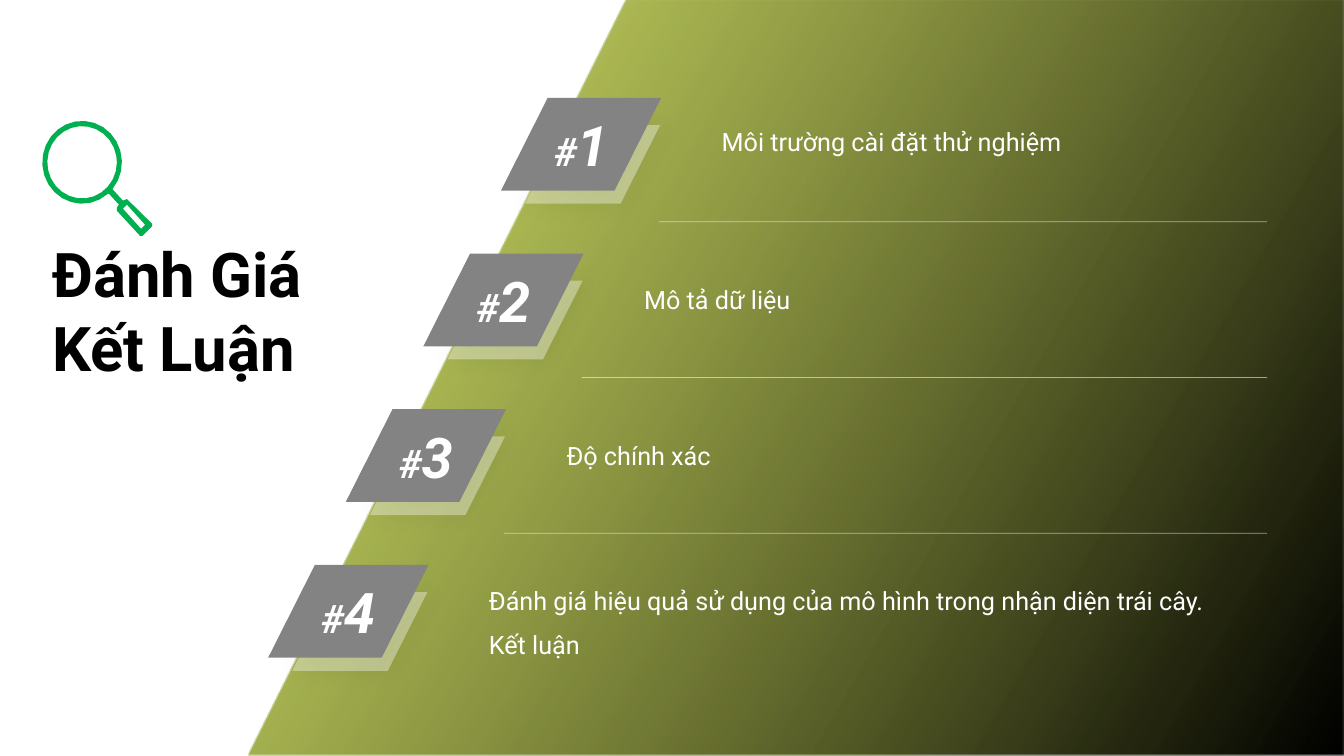
from collections import namedtuple
from math import cos, radians, sin

from lxml import etree
from pptx import Presentation
from pptx import util as u
from pptx.dml.color import RGBColor
from pptx.enum import shapes, text
from pptx.oxml.ns import qn

UNIT = u.Inches(0.1)
COLUMNS, ROWS = 133.33, 75
BLACK = RGBColor(0x00, 0x00, 0x00)
WHITE = RGBColor(0xFF, 0xFF, 0xFF)
OLIVE = RGBColor(0xA6, 0xB7, 0x27)
GRAY = RGBColor(0x83, 0x83, 0x83)
GREEN = RGBColor(0x00, 0xB0, 0x50)
FONT = "Roboto"
SLANT = 0.504

Box = namedtuple("Box", "left top width height")
Topic = namedtuple("Topic", "lines height nudge")

TITLE = "Đánh Giá\nKết Luận"
TOPICS = [
    Topic(["Môi trường cài đặt thử nghiệm"], 3, -0.3),
    Topic(["Mô tả dữ liệu"], 3, 0),
    Topic(["Độ chính xác"], 3, 0),
    Topic(["Đánh giá hiệu quả sử dụng của mô hình trong nhận diện trái cây.",
           "Kết luận"], 7.4, 1),
]


def grid(*lengths):
    """Turn grid units into slide lengths."""
    return [u.Emu(round(length * UNIT)) for length in lengths]


def apply(target, values):
    """Set each named format value on the target."""
    for name, value in values.items():
        setattr(target, name, value)


def set_alpha(color_parent, percent):
    """Make the solid colours below an element translucent."""
    for color in color_parent.iter(qn("a:srgbClr")):
        etree.SubElement(color, qn("a:alpha"), val=str(percent * 1000))


def style_span(span, size, color, **extra):
    """Format one run of text."""
    apply(span.font, {"name": FONT, "size": u.Pt(size), **extra})
    span.font.color.rgb = color


def add_text(page, box, margin=None):
    """Add a wrapping, vertically centred text box and return its frame."""
    frame = page.shapes.add_textbox(*grid(*box)).text_frame
    apply(frame, {"word_wrap": True, "vertical_anchor": text.MSO_ANCHOR.MIDDLE})
    if margin is not None:
        sides = ("left", "right", "top", "bottom")
        apply(frame, {f"margin_{side}": margin for side in sides})
    return frame


def add_outline(page, contours):
    """Add a borderless freeform made of closed contours in grid units."""
    first, *others = [[grid(*point) for point in contour] for contour in contours]
    builder = page.shapes.build_freeform(*first[0])
    builder.add_line_segments(first[1:])
    for contour in others:
        builder.move_to(*contour[0])
        builder.add_line_segments(contour[1:])
    shape = builder.convert_to_shape()
    shape.shadow.inherit = False
    shape.line.fill.background()
    return shape


def add_slant(page, box, color):
    """Add a borderless parallelogram."""
    shape = page.shapes.add_shape(shapes.MSO_SHAPE.PARALLELOGRAM, *grid(*box))
    shape.adjustments[0] = SLANT
    shape.shadow.inherit = False
    shape.line.fill.background()
    shape.fill.solid()
    shape.fill.fore_color.rgb = color
    return shape


def draw_panel(page, box):
    """Draw the slanted gradient panel."""
    right, bottom = box.left + box.width, box.top + box.height
    panel = add_outline(page, [[(box.left + 37.5, box.top), (right, box.top),
                                (right, bottom), (box.left, bottom)]])
    panel.fill.gradient()
    panel.fill.gradient_angle = 150
    dark, light = panel.fill.gradient_stops
    dark.position, light.position = 0, 0.84
    dark.color.rgb, light.color.rgb = BLACK, OLIVE
    set_alpha(list(panel.element.iter(qn("a:gs")))[1], 75)


def draw_magnifier(page, box):
    """Draw the magnifying glass with its lens and handle hollow."""
    def place(points):
        return [(box.left + x, box.top + y) for x, y in points]

    def arc(radius, start, end):
        angles = [radians(degree) for degree in range(start, end + 1, 14)]
        return [(3.95 + radius * cos(a), 4.1 + radius * 1.04 * sin(a))
                for a in angles]

    handle = [(7, 6.8), (8, 7.9), (8.4, 7.75), (10.9, 10.2), (10.9, 10.45),
              (9.95, 11.4), (9.7, 11.4), (7.4, 8.9), (7.4, 8.6), (7.6, 8.3),
              (6.6, 7.2)]
    hollow = [(9.8, 10.7), (8, 8.7), (8.4, 8.3), (10.2, 10.3)]
    contours = [arc(3.95, 50, 400) + handle, arc(3.45, 0, 350), hollow]
    glass = add_outline(page, [place(contour) for contour in contours])
    glass.fill.solid()
    glass.fill.fore_color.rgb = GREEN


def draw_title(page, box):
    """Write the two-line title."""
    para = add_text(page, box).paragraphs[0]
    para.text = TITLE
    for span in para.runs:
        style_span(span, 44, BLACK, bold=True)


def draw_tile(page, box, number):
    """Draw a numbered tile over its pale echo."""
    echo = add_slant(page, Box(box.left + 2.4, box.top + 2.7, 13.4, 7.8), WHITE)
    set_alpha(echo.element.spPr, 37)
    effects = echo.element.spPr.find(qn("a:effectLst"))
    glow = etree.SubElement(effects, qn("a:outerShdw"), blurRad=str(u.Pt(17)),
                            dist="0", dir="0", algn="ctr", rotWithShape="0")
    etree.SubElement(glow, qn("a:srgbClr"), val=str(BLACK))
    set_alpha(glow, 17)
    frame = add_slant(page, box, GRAY).text_frame
    frame.vertical_anchor = text.MSO_ANCHOR.MIDDLE
    para = frame.paragraphs[0]
    para.alignment = text.PP_ALIGN.CENTER
    for words, size in (("#", 28), (str(number), 40)):
        span = para.add_run()
        span.text = words
        style_span(span, size, WHITE, bold=True, italic=True)


def draw_divider(page, left, right, top):
    """Draw a thin translucent rule."""
    rule = page.shapes.add_connector(shapes.MSO_CONNECTOR.STRAIGHT,
                                     *grid(left, top, right, top))
    rule.line.width = u.Pt(0.5)
    rule.line.color.rgb = WHITE
    set_alpha(rule.element.spPr, 55)
    etree.SubElement(rule.element.spPr, qn("a:effectLst"))


def draw_topic(page, box, number, topic):
    """Draw one row: numbered tile and topic text."""
    tile = Box(box.left, box.top, 15.9, 9.2)
    draw_tile(page, tile, number)
    top = box.top + tile.height / 2 + topic.nudge - topic.height / 2
    frame = add_text(page, Box(box.left + 21.9, top, box.width - 21.9,
                               topic.height), margin=0)
    for index, line in enumerate(topic.lines):
        para = frame.add_paragraph() if index else frame.paragraphs[0]
        if len(topic.lines) > 1:
            apply(para, {"line_spacing": 1.07, "space_after": u.Pt(8)})
        span = para.add_run()
        span.text = line
        style_span(span, 18, WHITE)


def draw_topics(page, box):
    """Step the topic rows down and to the left, with rules between them."""
    pitch = box.height / len(TOPICS)
    for index, topic in enumerate(TOPICS):
        shift = 7.7 * index
        row = Box(box.left - shift, box.top + pitch * index,
                  box.width + shift, pitch)
        draw_topic(page, row, index + 1, topic)
        if index < len(TOPICS) - 1:
            draw_divider(page, row.left + 15.7, row.left + row.width,
                         row.top + 12.3)


def main():
    """Build and save the slide."""
    deck = Presentation()
    deck.slide_width, deck.slide_height = grid(COLUMNS, ROWS)
    page = deck.slides.add_slide(deck.slide_layouts[6])
    draw_panel(page, Box(24.7, 0, COLUMNS - 24.7, ROWS))
    draw_title(page, Box(4.2, 20.6, 32.6, 20.2))
    draw_topics(page, Box(49.7, 9.7, 76, 61.8))
    draw_magnifier(page, Box(4.2, 12, 10.9, 11.4))
    deck.save("out.pptx")


if __name__ == "__main__":
    main()
